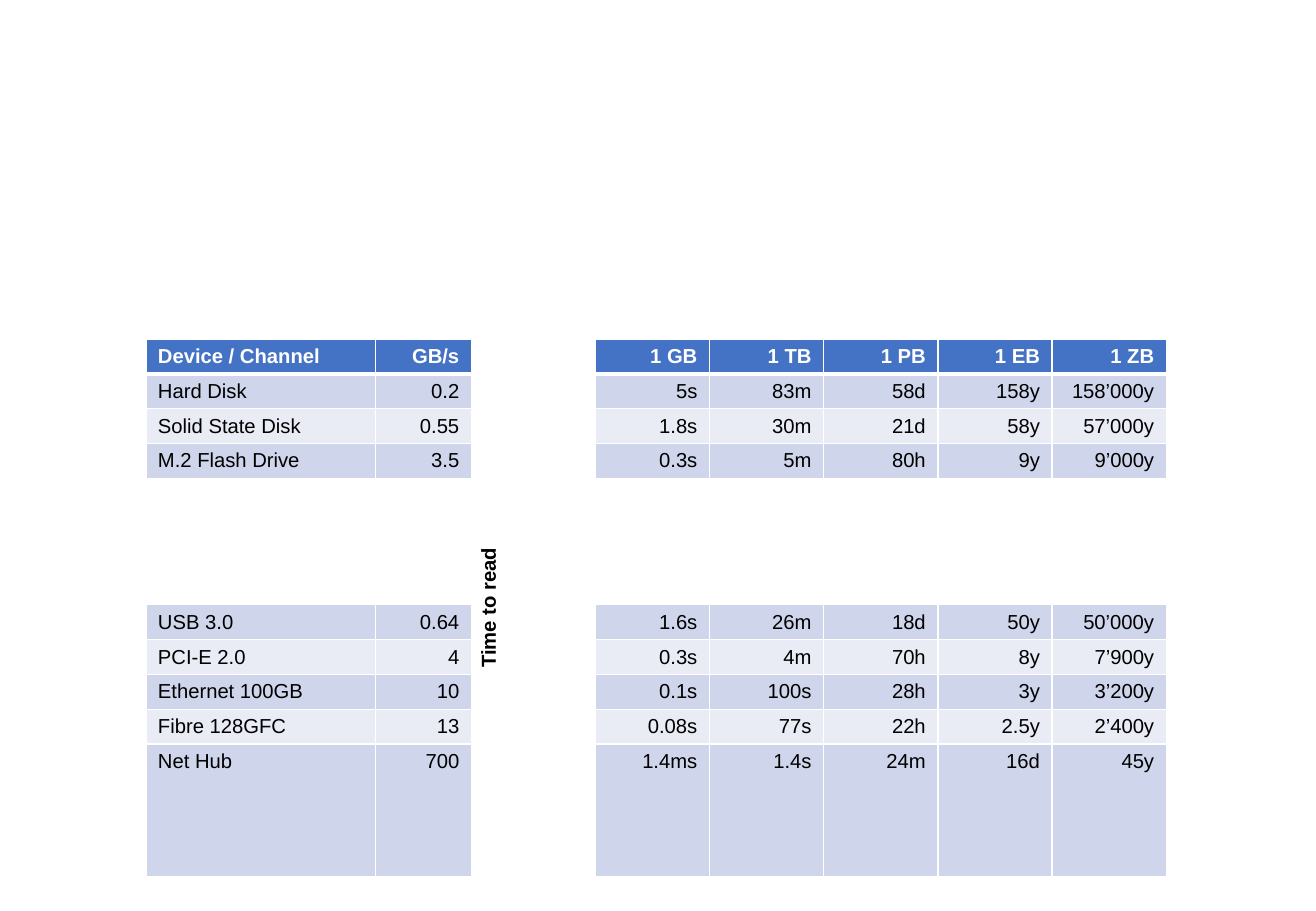
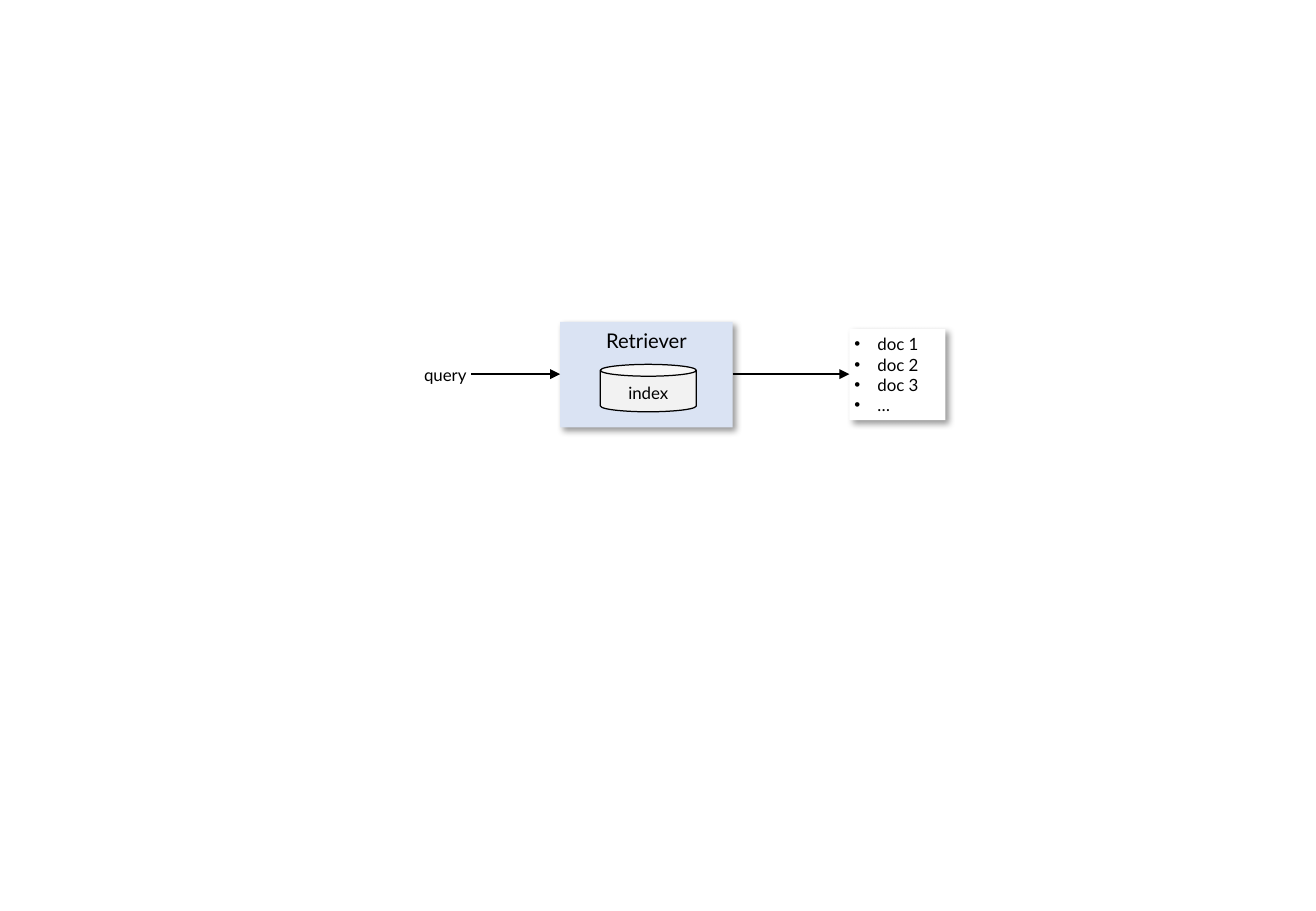
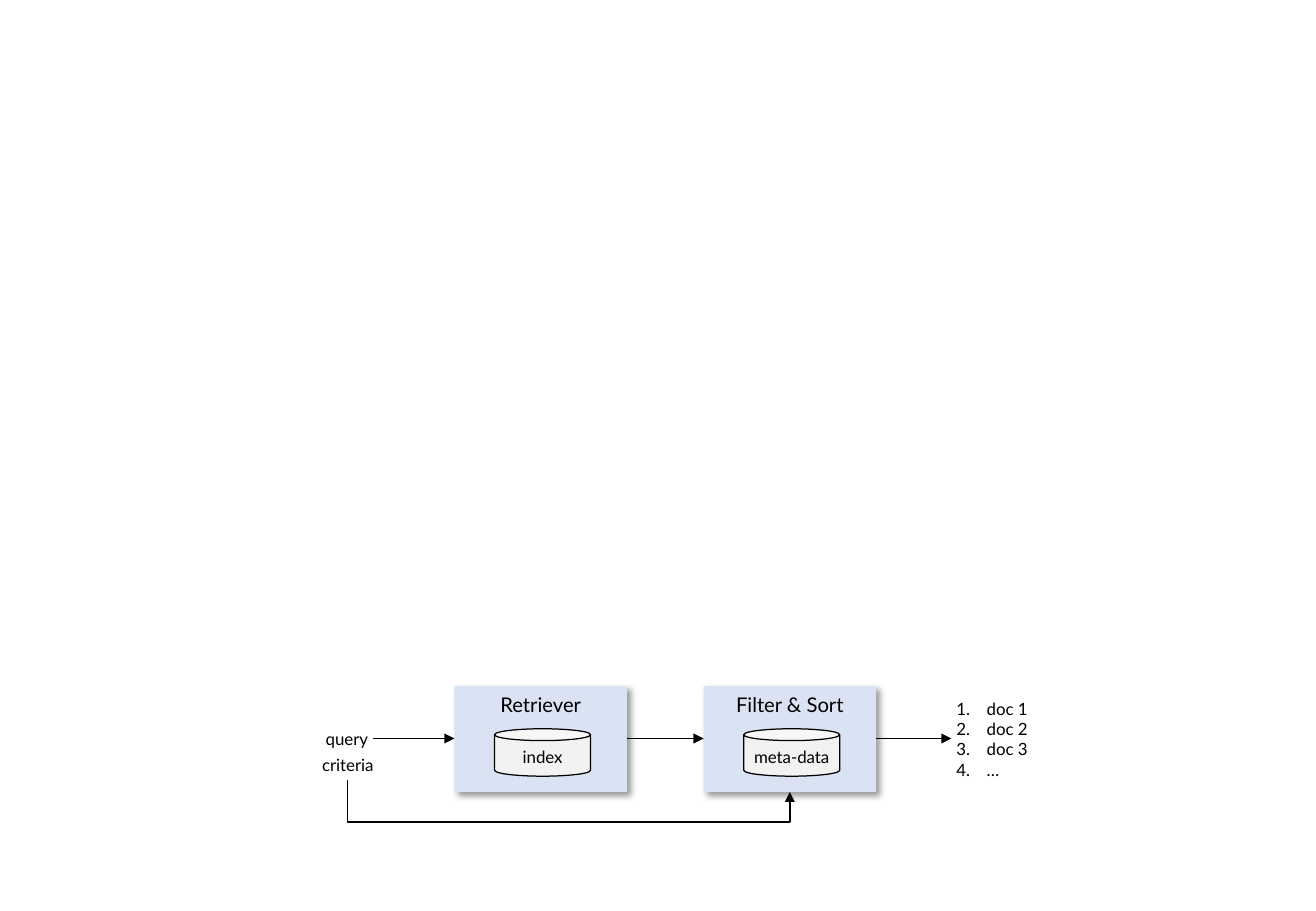
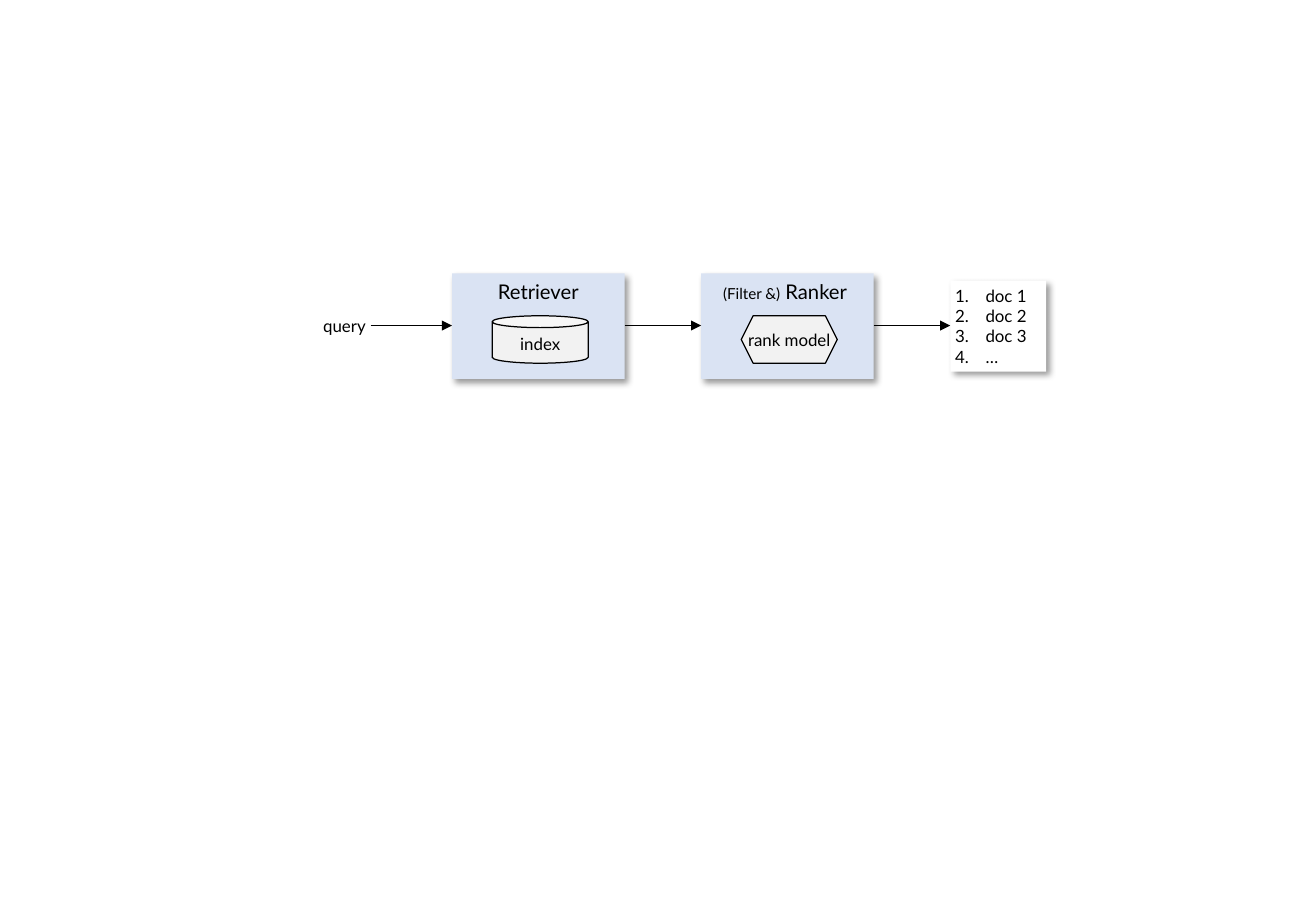
from dataclasses import dataclass

from lxml.etree import SubElement
from pptx import Presentation
from pptx.dml.color import RGBColor
from pptx.enum.shapes import MSO_CONNECTOR, MSO_SHAPE
from pptx.enum.text import MSO_ANCHOR, MSO_AUTO_SIZE, PP_ALIGN
from pptx.oxml.ns import qn
from pptx.util import Inches, Pt


@dataclass(frozen=True)
class Theme:
    black: str = "000000"
    white: str = "FFFFFF"
    header: str = "4472C4"
    dark_band: str = "CFD5EA"
    light_band: str = "E9EBF5"
    stage: str = "DAE3F3"
    store: str = "F2F2F2"
    table_font: str = "Arial"
    diagram_font: str = "Lato"
    heading_size: float = 12
    label_size: float = 10
    small_size: float = 9
    arrow_width: float = 1
    outline_width: float = 0.75


THEME = Theme()

# Stage geometry, in inches
STAGE_WIDTH, STAGE_HEIGHT = 1.42, 0.87
STORE_WIDTH, STORE_HEIGHT = 0.79, 0.39
STAGE_STEP = 2.05
ARROW_DROP = 0.43
LABEL_HEIGHT = 0.25
QUERY_WIDTH = 0.43

TABLE_COLUMNS = [1.89, 0.79, 1.02] + [0.94] * 5
ROW_HEIGHT, GAP_HEIGHT, LAST_HEIGHT = 0.28, 1.04, 1.09
TIME_COLUMN = 2
TIME_ROWS = [
    ["Device / Channel", "GB/s", "Time to read", "1 GB", "1 TB", "1 PB", "1 EB", "1 ZB"],
    ["Hard Disk", "0.2", "", "5s", "83m", "58d", "158y", "158’000y"],
    ["Solid State Disk", "0.55", "", "1.8s", "30m", "21d", "58y", "57’000y"],
    ["M.2 Flash Drive", "3.5", "", "0.3s", "5m", "80h", "9y", "9’000y"],
    [""] * 8,
    ["USB 3.0", "0.64", "", "1.6s", "26m", "18d", "50y", "50’000y"],
    ["PCI-E 2.0", "4", "", "0.3s", "4m", "70h", "8y", "7’900y"],
    ["Ethernet 100GB", "10", "", "0.1s", "100s", "28h", "3y", "3’200y"],
    ["Fibre 128GFC", "13", "", "0.08s", "77s", "22h", "2.5y", "2’400y"],
    ["Net Hub", "700", "", "1.4ms", "1.4s", "24m", "16d", "45y"],
]


def add_text(paragraph, text, size=THEME.label_size, font=THEME.diagram_font,
             color=THEME.black, bold=False, align=PP_ALIGN.LEFT):
    """Append one formatted run to a paragraph."""
    paragraph.alignment = align
    run = paragraph.add_run()
    run.text = text
    run.font.name = font
    run.font.size = Pt(size)
    run.font.bold = bold
    run.font.color.rgb = RGBColor.from_string(color)


def set_marker(paragraph, numbered):
    """Give a paragraph a number or a bullet with a hanging indent."""
    indent = Inches(0.25 if numbered else 0.19)
    properties = paragraph._p.get_or_add_pPr()
    properties.set("marL", str(indent))
    properties.set("indent", str(-indent))
    if numbered:
        SubElement(properties, qn("a:buFont"), typeface="+mj-lt")
        SubElement(properties, qn("a:buAutoNum"), type="arabicPeriod")
    else:
        SubElement(properties, qn("a:buFont"), typeface="Arial")
        SubElement(properties, qn("a:buChar"), char="•")


def set_cell_borders(cell, bottom_width=1):
    properties = cell._tc.get_or_add_tcPr()
    for side, width in (("L", 1), ("R", 1), ("T", 1), ("B", bottom_width)):
        line = SubElement(properties, qn(f"a:ln{side}"), w=str(Pt(width)))
        fill = SubElement(line, qn("a:solidFill"))
        SubElement(fill, qn("a:srgbClr"), val=THEME.white)


class Deck:
    """Holds the presentation, its theme and the current slide."""

    def __init__(self, theme):
        self.theme = theme
        self.presentation = Presentation()
        self.presentation.slide_width = Inches(10.83)
        self.presentation.slide_height = Inches(7.5)
        self.slide = None

    def new_slide(self):
        blank_layout = self.presentation.slide_layouts[6]
        self.slide = self.presentation.slides.add_slide(blank_layout)

    def shape(self, kind, left, top, width, height, fill, outlined=False, shadow=False):
        shape = self.slide.shapes.add_shape(
            kind, Inches(left), Inches(top), Inches(width), Inches(height))
        shape.shadow.inherit = False
        shape.fill.solid()
        shape.fill.fore_color.rgb = RGBColor.from_string(fill)
        if outlined:
            shape.line.color.rgb = RGBColor.from_string(self.theme.black)
            shape.line.width = Pt(self.theme.outline_width)
        else:
            shape.line.fill.background()
        if shadow:
            effects = shape._element.spPr.find(qn("a:effectLst"))
            outer = SubElement(effects, qn("a:outerShdw"), blurRad=str(Pt(4)),
                               dist=str(Pt(3)), dir="2700000", algn="tl", rotWithShape="0")
            color = SubElement(outer, qn("a:srgbClr"), val=self.theme.black)
            SubElement(color, qn("a:alpha"), val="40000")
        shape.text_frame.vertical_anchor = MSO_ANCHOR.TOP
        return shape

    def tight_frame(self, shape, wrap):
        frame = shape.text_frame
        frame.margin_left = frame.margin_right = Inches(0.04)
        frame.margin_top = frame.margin_bottom = Inches(0.04)
        frame.word_wrap = wrap
        frame.auto_size = MSO_AUTO_SIZE.SHAPE_TO_FIT_TEXT
        return frame

    def label(self, text, left, top, width):
        box = self.slide.shapes.add_textbox(
            Inches(left), Inches(top), Inches(width), Inches(LABEL_HEIGHT))
        add_text(self.tight_frame(box, False).paragraphs[0], text)

    def stage(self, left, top, runs):
        box = self.shape(MSO_SHAPE.RECTANGLE, left, top, STAGE_WIDTH, STAGE_HEIGHT,
                         self.theme.stage, shadow=True)
        for text, size in runs:
            add_text(box.text_frame.paragraphs[0], text, size=size, align=PP_ALIGN.CENTER)

    def store(self, kind, left, top, text):
        shape = self.shape(kind, left, top, STORE_WIDTH, STORE_HEIGHT,
                           self.theme.store, outlined=True)
        shape.text_frame.word_wrap = text == "index"
        if kind == MSO_SHAPE.HEXAGON:
            shape.text_frame.vertical_anchor = MSO_ANCHOR.MIDDLE
        add_text(shape.text_frame.paragraphs[0], text, align=PP_ALIGN.CENTER)

    def documents(self, left, top, numbered, shadow):
        box = self.shape(MSO_SHAPE.RECTANGLE, left, top, 0.79, 0.75,
                         self.theme.white, shadow=shadow)
        frame = self.tight_frame(box, True)
        for index, text in enumerate(["doc 1", "doc 2", "doc 3", "…"]):
            paragraph = frame.add_paragraph() if index else frame.paragraphs[0]
            set_marker(paragraph, numbered)
            add_text(paragraph, text)

    def connector(self, kind, start, end):
        connector = self.slide.shapes.add_connector(
            kind, *(Inches(value) for value in (*start, *end)))
        connector.line.color.rgb = RGBColor.from_string(self.theme.black)
        connector.line.width = Pt(self.theme.arrow_width)
        SubElement(connector.line._get_or_add_ln(), qn("a:tailEnd"), type="triangle")
        SubElement(connector._element.spPr, qn("a:effectLst"))
        return connector

    def arrow(self, left, right, y):
        self.connector(MSO_CONNECTOR.STRAIGHT, (left, y), (right, y))

    def loop_arrow(self, start, end, bottom):
        """Draw an elbow that goes down to bottom, across, and up to end."""
        middle_x, middle_y = (start[0] + end[0]) / 2, (start[1] + end[1]) / 2
        half_run, half_rise = (end[0] - start[0]) / 2, (end[1] - start[1]) / 2
        connector = self.connector(
            MSO_CONNECTOR.ELBOW,
            (middle_x + half_rise, middle_y - half_run),
            (middle_x - half_rise, middle_y + half_run))
        connector.rotation = 270
        bend = round((bottom - start[1]) / (end[1] - start[1]) * 100000)
        geometry = connector._element.spPr.find(qn("a:prstGeom"))
        adjustments = geometry.find(qn("a:avLst"))
        if adjustments is None:
            adjustments = SubElement(geometry, qn("a:avLst"))
        SubElement(adjustments, qn("a:gd"), name="adj1", fmla=f"val {bend}")

    def pipeline(self, left, top, stages, query_left, documents_left,
                 numbered=True, shadow=True):
        """Draw query, stages and resulting documents, joined by arrows."""
        arrow_y = top + ARROW_DROP
        self.label("query", query_left, top + 0.31, QUERY_WIDTH)
        arrow_start = query_left + QUERY_WIDTH
        for index, (runs, kind, store_text) in enumerate(stages):
            stage_left = left + index * STAGE_STEP
            self.stage(stage_left, top, runs)
            self.store(kind, stage_left + 0.33, top + 0.35, store_text)
            self.arrow(arrow_start, stage_left, arrow_y)
            arrow_start = stage_left + STAGE_WIDTH
        self.documents(documents_left, top + 0.06, numbered, shadow)
        self.arrow(arrow_start, documents_left, arrow_y)

    def time_table(self, left, top, rows):
        heights = [ROW_HEIGHT if any(row) else GAP_HEIGHT for row in rows]
        heights[-1] = LAST_HEIGHT
        table = self.slide.shapes.add_table(
            len(rows), len(TABLE_COLUMNS), Inches(left), Inches(top),
            Inches(sum(TABLE_COLUMNS)), Inches(sum(heights))).table
        table.first_row = table.horz_banding = False
        for column, width in zip(table.columns, TABLE_COLUMNS):
            column.width = Inches(width)
        for row, height in zip(table.rows, heights):
            row.height = Inches(height)
        table.cell(0, TIME_COLUMN).merge(table.cell(len(rows) - 1, TIME_COLUMN))
        for row_index, row in enumerate(rows):
            for column_index, text in enumerate(row):
                self.table_cell(table.cell(row_index, column_index), text,
                                row_index, column_index)

    def table_cell(self, cell, text, row_index, column_index):
        is_header = row_index == 0
        is_time = column_index == TIME_COLUMN
        set_cell_borders(cell, 3 if is_header else 1)
        if not text:
            cell.fill.background()
            return
        if is_time:
            cell.fill.background()
            cell.vertical_anchor = MSO_ANCHOR.BOTTOM
            cell._tc.get_or_add_tcPr().set("vert", "vert270")
            align = PP_ALIGN.CENTER
        else:
            band = self.theme.dark_band if row_index % 2 else self.theme.light_band
            cell.fill.solid()
            cell.fill.fore_color.rgb = RGBColor.from_string(
                self.theme.header if is_header else band)
            align = PP_ALIGN.RIGHT if column_index else PP_ALIGN.LEFT
        add_text(cell.text_frame.paragraphs[0], text, size=self.theme.heading_size,
                 font=self.theme.table_font, bold=is_header, align=align,
                 color=self.theme.white if is_header and not is_time else self.theme.black)


def main():
    deck = Deck(THEME)
    heading = THEME.heading_size
    retriever = ([("Retriever", heading)], MSO_SHAPE.CAN, "index")
    filter_sort = ([("Filter & Sort", heading)], MSO_SHAPE.CAN, "meta-data")
    ranker = ([("(Filter &)", THEME.small_size), (" Ranker ", heading)],
              MSO_SHAPE.HEXAGON, "rank model")

    # Time to read
    deck.new_slide()
    deck.time_table(1.2, 2.79, TIME_ROWS)

    # Retrieval only
    deck.new_slide()
    deck.pipeline(4.61, 2.65, [retriever], 3.45, 6.99, numbered=False)

    # Retrieval, then filter and sort by criteria
    deck.new_slide()
    deck.pipeline(3.74, 5.65, [retriever, filter_sort], 2.64, 7.83, shadow=False)
    deck.label("criteria", 2.61, 6.17, 0.51)
    deck.loop_arrow((2.86, 6.42), (6.5, 6.52), 6.77)

    # Retrieval, then ranking
    deck.new_slide()
    deck.pipeline(3.72, 2.25, [retriever, ranker], 2.62, 7.82)

    deck.presentation.save("out.pptx")


if __name__ == "__main__":
    main()
